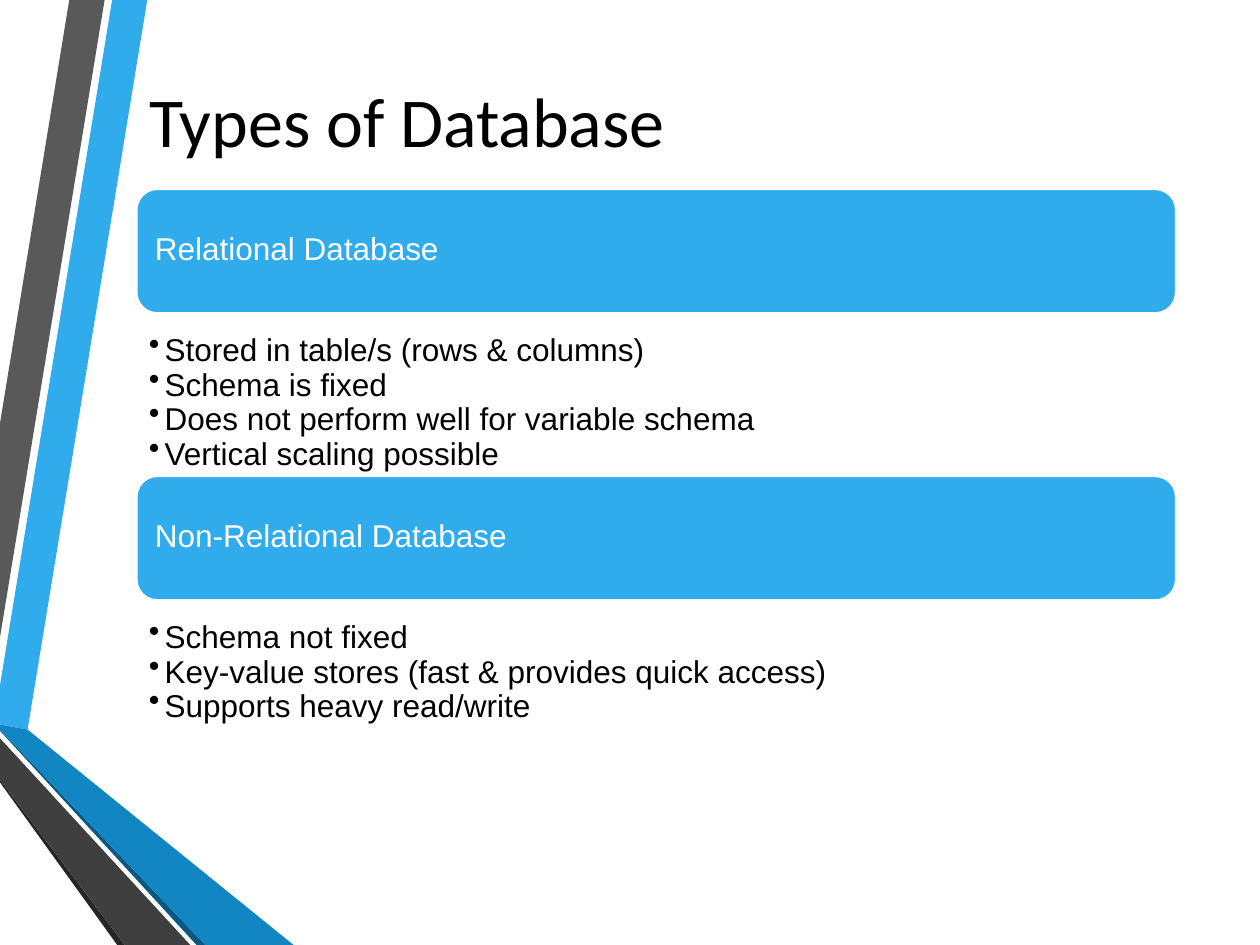
from lxml.etree import SubElement
from pptx import Presentation
from pptx.dml.color import RGBColor
from pptx.enum.shapes import MSO_SHAPE as Kind
from pptx.enum.text import MSO_ANCHOR as Anchor, PP_ALIGN as Align
from pptx.oxml.ns import qn
from pptx.util import Pt


def paint(item, hue):
    item.rgb = RGBColor.from_string(hue)


def style(para, face, size, hue):
    para.alignment = Align.LEFT
    para.font.name = face
    para.font.size = Pt(size)
    paint(para.font.color, hue)


deck = Presentation()
deck.slide_width, deck.slide_height = Pt(720), Pt(540)
slide = deck.slides.add_slide(deck.slide_layouts[5])
shapes = slide.shapes

bands = [
    ("30ACEC", [(0, 391.7), (0, 414), (15.8, 416.9), (84.2, 0), (64.1, 0)]),
    ("595959", [(59.8, 0), (39.6, 0), (0, 242), (0, 364.3)]),
    ("262626", [(0, 445.7), (0, 447.1), (67, 540), (71.3, 540)]),
    ("0B5982", [(0, 416.9), (0, 417.6), (112.3, 540), (117.4, 540)]),
    ("1186C3", [(0, 416.9), (117.4, 540), (167.8, 540), (15.8, 416.9), (0, 414)]),
    ("3F3F3F", [(0, 445.7), (71.3, 540), (108.7, 540), (0, 421.9)]),
]
for hue, spots in bands:
    first, *rest = [(Pt(x), Pt(y)) for x, y in spots]
    pen = shapes.build_freeform(*first)
    pen.add_line_segments(rest, close=True)
    band = pen.convert_to_shape()
    band.shadow.inherit = False
    band.fill.solid()
    paint(band.fill.fore_color, hue)
    band.line.fill.background()

left, width, height = Pt(78), Pt(594), Pt(71)
title = shapes.title
title.left, title.top, title.width, title.height = left, Pt(24), width, Pt(72)
title.text_frame.text = "Types of Database"
title.text_frame.vertical_anchor = Anchor.BOTTOM
style(title.text_frame.paragraphs[0], "Calibri", 40, "000000")

groups = [
    ("Relational Database", [
        "Stored in table/s (rows & columns)",
        "Schema is fixed",
        "Does not perform well for variable schema",
        "Vertical scaling possible",
    ]),
    ("Non-Relational Database", [
        "Schema not fixed",
        "Key-value stores (fast & provides quick access)",
        "Supports heavy read/write",
    ]),
]
for i, (name, points) in enumerate(groups):
    top = 108 + 164 * i
    head = shapes.add_shape(Kind.ROUNDED_RECTANGLE, left, Pt(top), width, height)
    head.shadow.inherit = False
    head.fill.solid()
    paint(head.fill.fore_color, "30ACEC")
    paint(head.line.color, "FFFFFF")
    head.line.width = Pt(1.25)
    head.text_frame.text = name
    head.text_frame.vertical_anchor = Anchor.MIDDLE
    para = head.text_frame.paragraphs[0]
    para.line_spacing = 0.85
    style(para, "Arial", 18, "FFFFFF")

    body = shapes.add_textbox(left, Pt(top + 82), width, height).text_frame
    body.word_wrap = True
    for j, point in enumerate(points):
        para = body.add_paragraph() if j else body.paragraphs[0]
        para.text = point
        para.level = 1
        props = para._p.get_or_add_pPr()
        props.set("marL", str(Pt(9)))
        props.set("indent", str(Pt(-9)))
        tint = SubElement(props, qn("a:buClr"))
        SubElement(tint, qn("a:srgbClr"), val="000000")
        SubElement(props, qn("a:buChar"), char="•")
        para.line_spacing = 0.75
        if j:
            para.space_before = Pt(3.6)
        style(para, "Arial", 18, "000000")

deck.save("out.pptx")
